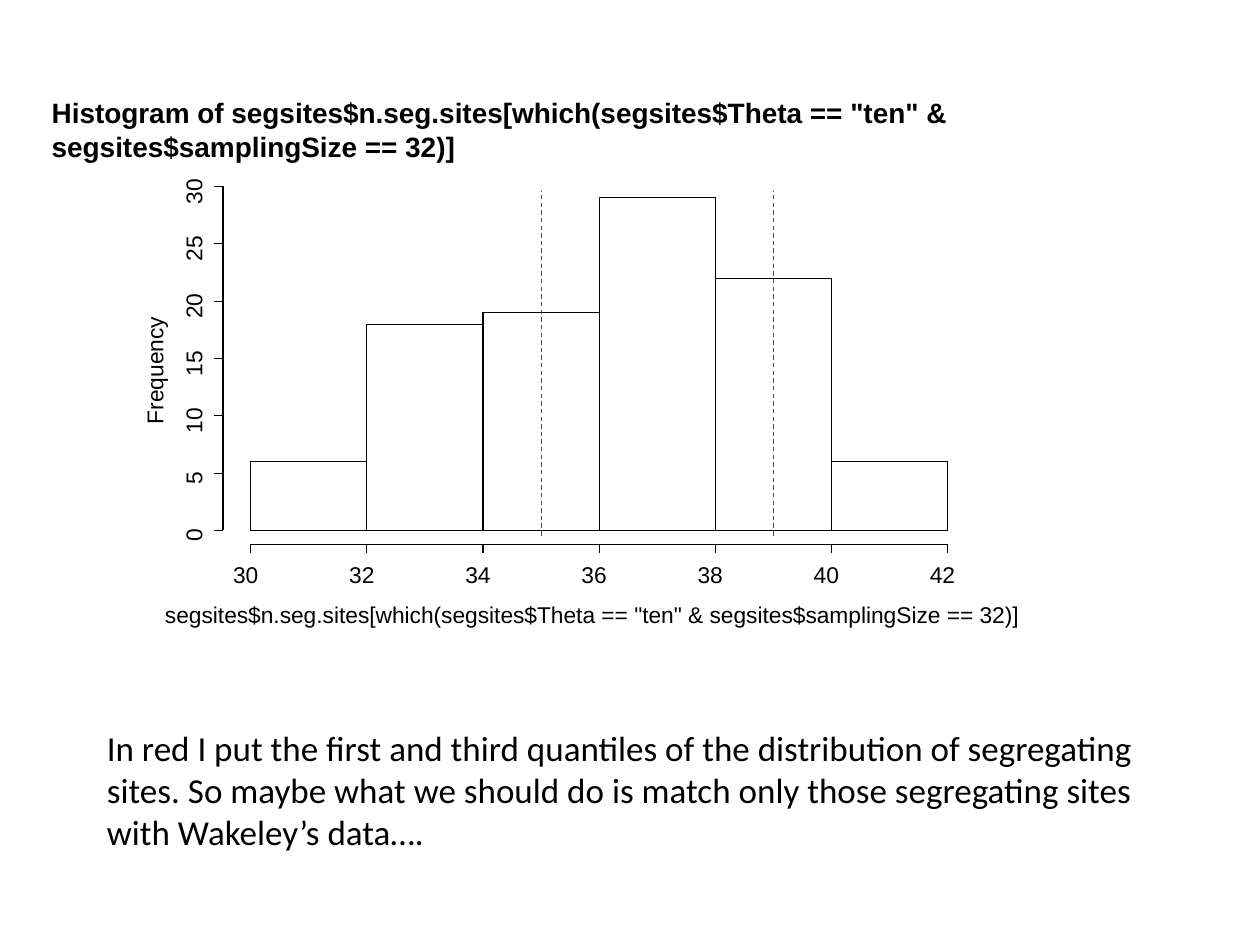
from pptx import Presentation
from pptx.dml.color import RGBColor
from pptx.enum import dml, shapes, text
from pptx.oxml.ns import qn
from pptx.util import Inches, Pt

EXPR = 'segsites$n.seg.sites[which(segsites$Theta == "ten" & segsites$samplingSize == 32)]'
TITLE = "Histogram of " + EXPR
NOTE = ("In red I put the first and third quantiles of the distribution of "
        "segregating sites. So maybe what we should do is match only those "
        "segregating sites with Wakeley’s data….")
COUNTS = [6, 18, 19, 29, 22, 6]
BREAKS = range(30, 43, 2)
TICKS = range(0, 31, 5)
QUARTS = [35, 39]

THEME = {
    "ink": RGBColor(0, 0, 0), "mark": RGBColor(255, 0, 0),
    "plot": "Arial", "body": "Calibri",
    "head": Pt(16), "label": Pt(13), "note": Pt(20), "line": Pt(0.63),
}
LEFT, RIGHT, BASE, TOP = 1.99, 7.52, 4.21, 1.48
XAXIS, YAXIS, TICK = 4.32, 1.77, 0.07
HIGH = 0.25


def xpos(val):
    return LEFT + (val - BREAKS[0]) * (RIGHT - LEFT) / (BREAKS[-1] - BREAKS[0])


def ypos(val):
    return BASE - val * (BASE - TOP) / TICKS[-1]


def style(frame, words, size, face, bold=False):
    frame.text = words
    frame.word_wrap = True
    frame.auto_size = text.MSO_AUTO_SIZE.NONE
    frame.vertical_anchor = text.MSO_ANCHOR.TOP
    para = frame.paragraphs[0]
    para.alignment = text.PP_ALIGN.LEFT
    font = para.font
    font.name, font.size, font.bold = face, size, bold
    font.color.rgb = THEME["ink"]


def trim(frame):
    frame.margin_left = frame.margin_right = 0
    frame.margin_top = frame.margin_bottom = 0


def label(slide, words, mid, top, wide, turn=0):
    box = slide.shapes.add_textbox(
        Inches(mid - wide / 2), Inches(top), Inches(wide), Inches(HIGH))
    box.rotation = turn
    trim(box.text_frame)
    style(box.text_frame, words, THEME["label"], THEME["plot"])


def rule(slide, x1, y1, x2, y2, color="ink", dash=None):
    line = slide.shapes.add_connector(
        shapes.MSO_CONNECTOR.STRAIGHT,
        Inches(x1), Inches(y1), Inches(x2), Inches(y2))
    line.line.color.rgb = THEME[color]
    line.line.width = THEME["line"]
    line.line.dash_style = dash
    props = line._element.spPr
    props.append(props.makeelement(qn("a:effectLst"), {}))


def axes(slide):
    label(slide, EXPR, 4.76, 4.77, 6.9)
    label(slide, "Frequency", 1.24, 2.77, 0.94, 270)
    rule(slide, LEFT, XAXIS, RIGHT, XAXIS)
    for val in BREAKS:
        x = xpos(val)
        rule(slide, x, XAXIS, x, XAXIS + TICK)
        label(slide, str(val), x, 4.45, 0.28)
    rule(slide, YAXIS, BASE, YAXIS, TOP)
    for val in TICKS:
        y = ypos(val)
        rule(slide, YAXIS, y, YAXIS - TICK, y)
        wide = 0.08 + 0.1 * len(str(val))
        label(slide, str(val), 1.55, y - HIGH / 2, wide, 270)


def bars(slide):
    for start, end, count in zip(BREAKS, BREAKS[1:], COUNTS):
        x, y = xpos(start), ypos(count)
        bar = slide.shapes.add_shape(
            shapes.MSO_SHAPE.RECTANGLE, Inches(x), Inches(y),
            Inches(xpos(end) - x), Inches(BASE - y))
        bar.shadow.inherit = False
        bar.fill.background()
        bar.line.color.rgb = THEME["ink"]
        bar.line.width = THEME["line"]


def main():
    deck = Presentation()
    deck.slide_width, deck.slide_height = Inches(10), Inches(7.5)
    slide = deck.slides.add_slide(deck.slide_layouts[5])
    head = slide.shapes.title
    head.left, head.top = Inches(0.41), Inches(0.76)
    head.width, head.height = Inches(9.15), Inches(0.54)
    trim(head.text_frame)
    style(head.text_frame, TITLE, THEME["head"], THEME["plot"], True)
    axes(slide)
    bars(slide)
    for val in QUARTS:
        x = xpos(val)
        rule(slide, x, 4.25, x, 1.52, "mark", dml.MSO_LINE.DASH)
    note = slide.shapes.add_textbox(
        Inches(0.75), Inches(5.72), Inches(8.45), Inches(1.11))
    style(note.text_frame, NOTE, THEME["note"], THEME["body"])
    deck.save("out.pptx")


if __name__ == "__main__":
    main()
